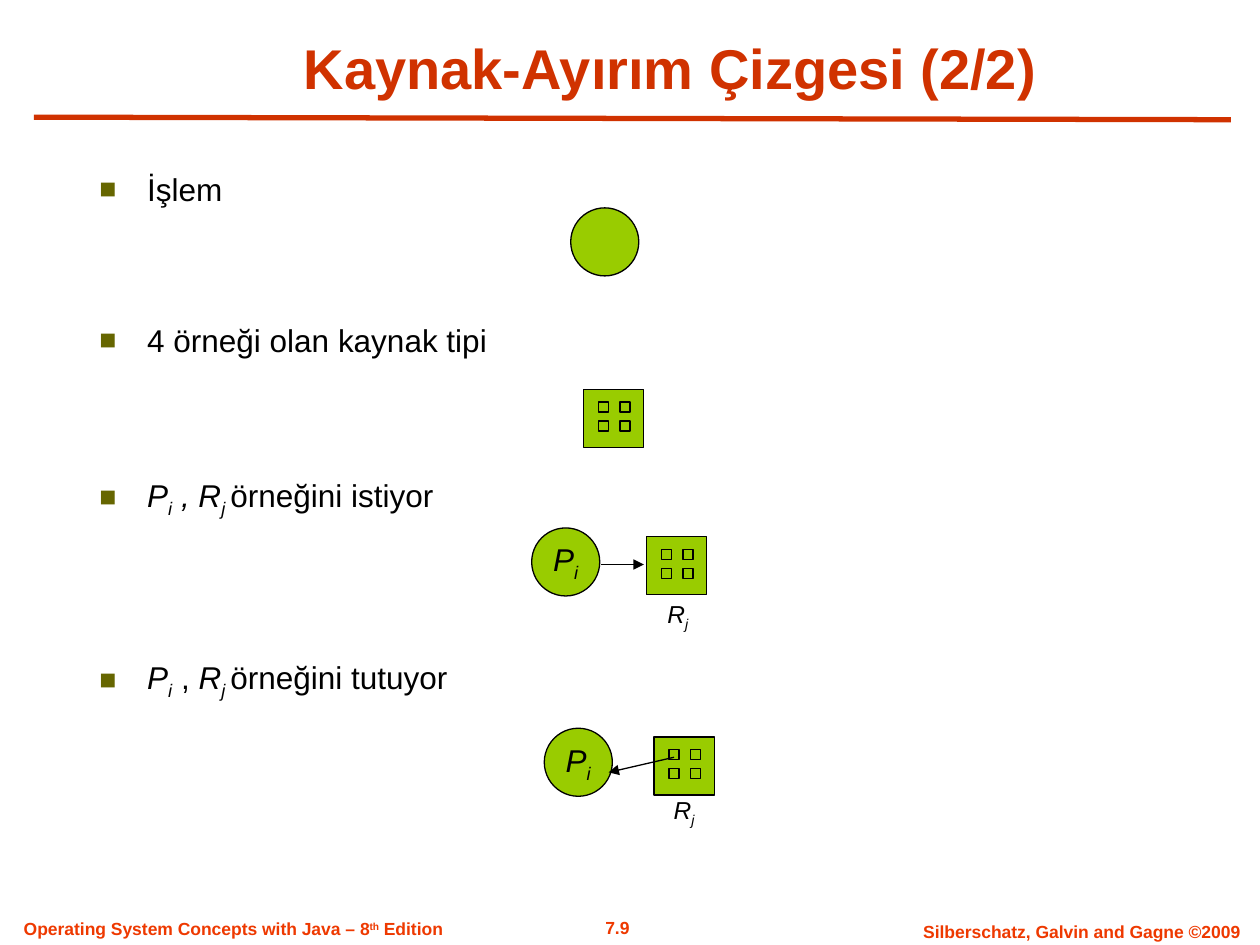
from lxml import etree
from pptx import Presentation
from pptx.dml.color import RGBColor
from pptx.enum.shapes import MSO_CONNECTOR, MSO_SHAPE
from pptx.enum.text import MSO_ANCHOR, PP_ALIGN
from pptx.oxml.ns import qn
from pptx.util import Inches, Pt

BLACK = RGBColor(0x00, 0x00, 0x00)
GREEN = RGBColor(0x99, 0xCC, 0x00)
OLIVE = RGBColor(0x66, 0x66, 0x00)
RED = RGBColor(0xD0, 0x32, 0x00)
ORANGE = RGBColor(0xEE, 0x39, 0x00)

prs = Presentation()
prs.slide_width, prs.slide_height = Inches(10), Inches(7.5)
s = prs.slides.add_slide(prs.slide_layouts[6])


def add_text(p, text, size=18, color=BLACK, bold=False, italic=False, baseline=0):
    """Append a run; baseline is a percentage, negative for subscript."""
    r = p.add_run()
    r.text = text
    r.font.name, r.font.size = "Arial", Pt(size)
    r.font.bold, r.font.italic = bold, italic
    r.font.color.rgb = color
    if baseline:
        r.font._element.set("baseline", str(baseline * 1000))


def add_symbol(p, letter, index, size=18):
    """Append an italic letter with a subscript index."""
    add_text(p, letter, size, italic=True)
    add_text(p, index, size, italic=True, baseline=-25)


# Footer
FOOTERS = [
    (4.41, 7.23, 0.98, PP_ALIGN.CENTER, [("7.9", 0)]),
    (7.1, 7.26, 2.97, PP_ALIGN.CENTER, [("Silberschatz, Galvin and Gagne ©2009", 0)]),
    (0.09, 7.24, 3.7, PP_ALIGN.LEFT,
     [("Operating System Concepts with Java – 8", 0), ("th", 30), (" Edition", 0)]),
]
for x, y, w, align, runs in FOOTERS:
    tf = s.shapes.add_textbox(Inches(x), Inches(y), Inches(w), Inches(0.27)).text_frame
    tf.word_wrap = True
    p = tf.paragraphs[0]
    p.alignment = align
    for text, baseline in runs:
        add_text(p, text, size=10, color=ORANGE, bold=True, baseline=baseline)

# Title
tf = s.shapes.add_textbox(Inches(1.14), Inches(0.22), Inches(8.36), Inches(0.63)).text_frame
tf.word_wrap = True
tf.vertical_anchor = MSO_ANCHOR.BOTTOM
p = tf.paragraphs[0]
p.alignment = PP_ALIGN.CENTER
add_text(p, "Kaynak-Ayırım Çizgesi (2/2)", size=32, color=RED, bold=True)

# Bulleted list
tf = s.shapes.add_textbox(Inches(0.69), Inches(1.3), Inches(8.46), Inches(4.96)).text_frame
tf.word_wrap = True
bullets = []
for gap in (0, 64.5, 67, 79.5):
    p = tf.add_paragraph() if bullets else tf.paragraphs[0]
    p.space_before = Pt(gap)
    pPr = p._p.get_or_add_pPr()
    pPr.set("marL", str(Inches(0.38)))
    pPr.set("indent", str(-Inches(0.38)))
    bu_color = etree.SubElement(pPr, qn("a:buClr"))
    etree.SubElement(bu_color, qn("a:srgbClr")).set("val", str(OLIVE))
    etree.SubElement(pPr, qn("a:buSzPct")).set("val", "90000")
    etree.SubElement(pPr, qn("a:buFont")).set("typeface", "Arial")
    etree.SubElement(pPr, qn("a:buChar")).set("char", "■")
    bullets.append(p)

add_text(bullets[0], "İşlem")
add_text(bullets[1], "4 örneği olan kaynak tipi")
for p, verb, slanted in ((bullets[2], "istiyor", True), (bullets[3], "tutuyor", False)):
    add_symbol(p, "P", "i")
    add_text(p, " , ", italic=slanted)
    add_symbol(p, "R", "j ")
    add_text(p, f"örneğini {verb}")

# Processes
for x, y, labelled in ((4.53, 1.65, False), (4.32, 5.78, True), (4.22, 4.19, True)):
    sp = s.shapes.add_shape(MSO_SHAPE.OVAL, Inches(x), Inches(y), Inches(0.54), Inches(0.54))
    sp.shadow.inherit = False
    sp.fill.solid()
    sp.fill.fore_color.rgb = GREEN
    sp.line.color.rgb, sp.line.width = BLACK, Pt(0.75)
    if labelled:
        tf = sp.text_frame
        tf.word_wrap = False
        tf.vertical_anchor = MSO_ANCHOR.MIDDLE
        tf.paragraphs[0].alignment = PP_ALIGN.CENTER
        add_symbol(tf.paragraphs[0], "P", "i")

# Resources, each with a two by two grid of instances
INSTANCES = [(0.12 + 0.17 * col, 0.1 + 0.15 * row, 0.08, 0.08)
             for row in range(2) for col in range(2)]
for x, y in ((4.63, 3.09), (5.13, 4.26), (5.19, 5.85)):
    group = s.shapes.add_group_shape()
    for dx, dy, w, h in [(0, 0, 0.48, 0.46)] + INSTANCES:
        sp = group.shapes.add_shape(MSO_SHAPE.RECTANGLE, Inches(x + dx), Inches(y + dy),
                                    Inches(w), Inches(h))
        sp.shadow.inherit = False
        sp.fill.solid()
        sp.fill.fore_color.rgb = GREEN
        sp.line.color.rgb, sp.line.width = BLACK, Pt(0.75)

# Resource labels
for x, y in ((5.2, 4.7), (5.25, 6.26)):
    tf = s.shapes.add_textbox(Inches(x), Inches(y), Inches(0.36), Inches(0.37)).text_frame
    tf.word_wrap = True
    tf.margin_left = tf.margin_right = 0
    tf.vertical_anchor = MSO_ANCHOR.MIDDLE
    tf.paragraphs[0].alignment = PP_ALIGN.CENTER
    add_symbol(tf.paragraphs[0], "R", "j", size=14)

# Title rule, request edge and assignment edge
LINES = [
    (0.27, 0.93, 9.77, 0.95, RED, 3, False),
    (4.77, 4.48, 5.11, 4.48, BLACK, 0.75, True),
    (5.35, 6.01, 4.83, 6.13, BLACK, 0.75, True),
]
for x1, y1, x2, y2, color, width, arrow in LINES:
    line = s.shapes.add_connector(MSO_CONNECTOR.STRAIGHT, Inches(x1), Inches(y1),
                                  Inches(x2), Inches(y2))
    line.line.color.rgb, line.line.width = color, Pt(width)
    if arrow:
        etree.SubElement(line.line._get_or_add_ln(), qn("a:tailEnd")).set("type", "triangle")
    etree.SubElement(line._element.spPr, qn("a:effectLst"))

prs.save("out.pptx")
